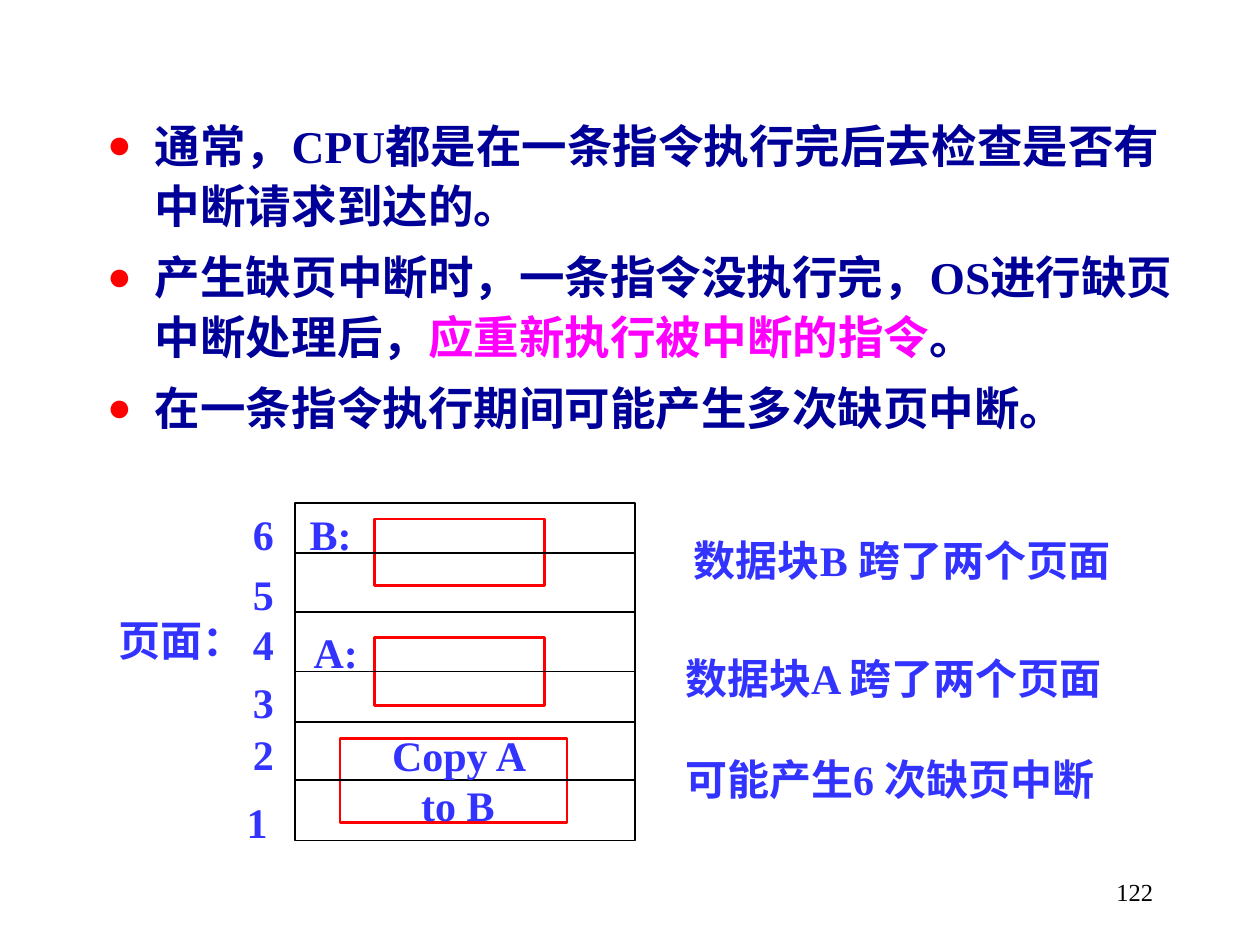
from lxml.etree import SubElement
from pptx import Presentation
from pptx.dml.color import RGBColor
from pptx.enum.shapes import MSO_CONNECTOR, MSO_SHAPE
from pptx.enum.text import MSO_ANCHOR, MSO_AUTO_SIZE, PP_ALIGN
from pptx.oxml.ns import qn
from pptx.util import Inches, Pt

FONT = "Times New Roman"
COLORS = {"navy": "000099", "blue": "3333FF", "red": "FF0000",
          "magenta": "FF00FF", "black": "000000", "white": "FFFFFF"}

prs = Presentation()
prs.slide_width, prs.slide_height = Inches(10), Inches(7.5)
s = prs.slides.add_slide(prs.slide_layouts[1])
title = s.shapes.title
title.element.getparent().remove(title.element)


def add_text(text, x, y, w, h=0.5, size=24, color="blue", bold=True,
             align=PP_ALIGN.CENTER, anchor=MSO_ANCHOR.TOP, wrap=False):
    sp = s.shapes.add_textbox(Inches(x), Inches(y), Inches(w), Inches(h))
    tf = sp.text_frame
    tf.word_wrap = wrap
    tf.vertical_anchor = anchor
    p = tf.paragraphs[0]
    p.alignment = align
    r = p.add_run()
    r.text = text
    r.font.name, r.font.size, r.font.bold = FONT, Pt(size), bold
    r.font.color.rgb = RGBColor.from_string(COLORS[color])


def add_box(x, y, w, h, color, width):
    sp = s.shapes.add_shape(MSO_SHAPE.RECTANGLE, Inches(x), Inches(y), Inches(w), Inches(h))
    sp.shadow.inherit = False
    sp.fill.solid()
    sp.fill.fore_color.rgb = RGBColor.from_string(COLORS["white"])
    sp.line.color.rgb = RGBColor.from_string(COLORS[color])
    sp.line.width = Pt(width)
    return sp


bullets = [
    [("通常，CPU都是在一条指令执行完后去检查是否有中断请求到达的。", "navy")],
    [("产生缺页中断时，一条指令没执行完，OS进行缺页中断处理后，", "navy"),
     ("应重新执行被中断的指令", "magenta"), ("。", "navy")],
    [("在一条指令执行期间可能产生多次缺页中断。", "navy")],
]
body = s.placeholders[1]
body.left, body.top, body.width, body.height = (Inches(v) for v in (0.75, 0.84, 8.74, 3.07))
tf = body.text_frame
tf.auto_size = MSO_AUTO_SIZE.NONE
for i, runs in enumerate(bullets):
    p = tf.add_paragraph() if i else tf.paragraphs[0]
    pPr = p._p.get_or_add_pPr()
    pPr.set("marL", str(Inches(0.38)))
    pPr.set("indent", str(-Inches(0.38)))
    SubElement(SubElement(pPr, qn("a:buClr")), qn("a:srgbClr"), val=COLORS["red"])
    SubElement(pPr, qn("a:buSzPct"), val="90000")
    SubElement(pPr, qn("a:buFont"), typeface=FONT)
    SubElement(pPr, qn("a:buChar"), char="●")
    p.line_spacing = 1.1
    p.space_before = Pt(6.5 if i else 0)
    for text, color in runs:
        r = p.add_run()
        r.text = text
        r.font.name, r.font.size, r.font.bold = FONT, Pt(26), True
        r.font.color.rgb = RGBColor.from_string(COLORS[color])

left, right = 2.34, 5.04
memory = add_box(left, 3.99, right - left, 2.68, "black", 1)
for x, y, w, h in [(2.7, 5.86, 1.8, 0.67), (2.97, 5.06, 1.35, 0.54), (2.97, 4.12, 1.35, 0.53)]:
    add_box(x, y, w, h, "red", 1.5)

middle = 5.33
for y in (4.39, 4.86, middle, 5.73, 6.19):
    line = s.shapes.add_connector(MSO_CONNECTOR.STRAIGHT, Inches(left), Inches(y),
                                  Inches(right), Inches(y))
    line.line.color.rgb = RGBColor.from_string(COLORS["black"])
    line.line.width = Pt(1)
    SubElement(line._element.spPr, qn("a:effectLst"))
    if y == middle:
        line.begin_connect(memory, 1)
        line.end_connect(memory, 3)

add_text("Copy A to B", 2.87, 5.74, 1.53, 0.9, wrap=True)
add_text("A:", 2.39, 4.92, 0.55)
add_text("B:", 2.36, 3.99, 0.53)

add_text("页面：", 0.84, 4.83, 1.2)
for page, y in zip(range(6, 1, -1), (3.99, 4.46, 4.86, 5.32, 5.73)):
    add_text(str(page), 1.91, y, 0.36)
add_text("1", 1.86, 6.27, 0.36)

for text, x, y in [("数据块B 跨了两个页面", 5.41, 4.19),
                   ("数据块A 跨了两个页面", 5.34, 5.13),
                   ("可能产生6 次缺页中断", 5.34, 5.93)]:
    add_text(text, x, y, 3.67, align=PP_ALIGN.LEFT, wrap=True)

add_text("122", 7.17, 6.83, 2.08, size=14, color="black", bold=False,
         align=PP_ALIGN.RIGHT, anchor=MSO_ANCHOR.MIDDLE, wrap=True)

prs.save("out.pptx")
